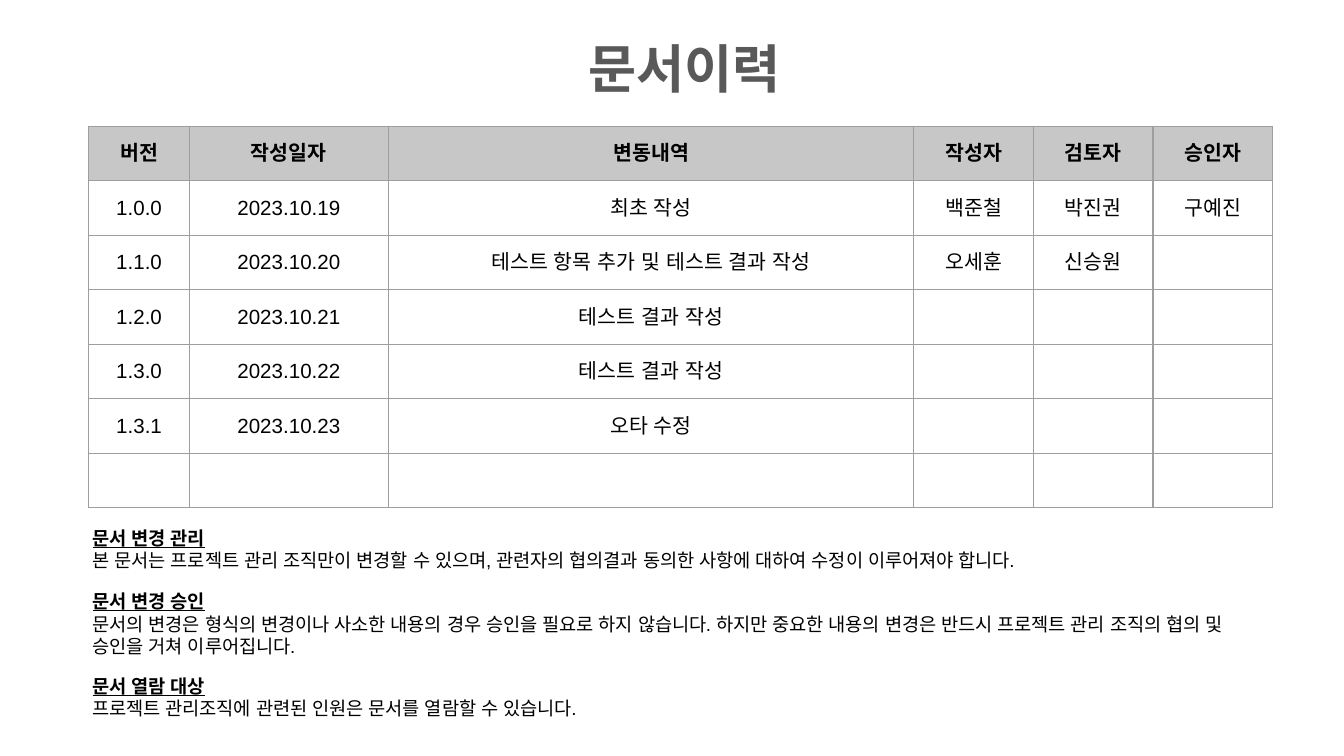
from dataclasses import dataclass

from lxml.etree import SubElement
from pptx import Presentation
from pptx.dml.color import RGBColor
from pptx.enum.lang import MSO_LANGUAGE_ID
from pptx.enum.text import MSO_ANCHOR, MSO_AUTO_SIZE, PP_ALIGN
from pptx.oxml.ns import qn
from pptx.slide import Slide
from pptx.util import Inches, Pt


@dataclass(frozen=True)
class Theme:
    font: str = "Arial"
    title_size: int = 28
    table_size: int = 11
    note_size: int = 10
    title: str = "595959"
    text: str = "000000"
    header: str = "C7C7C7"
    body: str = "FFFFFF"
    border: str = "9E9E9E"
    border_width: float = 0.75


@dataclass(frozen=True)
class Note:
    top: float
    height: float
    heading: str
    body: str


THEME = Theme()
SLIDE_WIDTH = 10
COLUMN_WIDTHS = (0.75, 1.48, 3.91, 0.89, 0.89, 0.89)
TABLE_HEIGHT = 2.84
HISTORY = (
    ("버전", "작성일자", "변동내역", "작성자", "검토자", "승인자"),
    ("1.0.0", "2023.10.19", "최초 작성", "백준철", "박진권", "구예진"),
    ("1.1.0", "2023.10.20", "테스트 항목 추가 및 테스트 결과 작성", "오세훈", "신승원", ""),
    ("1.2.0", "2023.10.21", "테스트 결과 작성", "", "", ""),
    ("1.3.0", "2023.10.22", "테스트 결과 작성", "", "", ""),
    ("1.3.1", "2023.10.23", "오타 수정", "", "", ""),
    ("",) * 6,
)
NOTES = (
    Note(3.87, 0.44, "문서 변경 관리",
         "본 문서는 프로젝트 관리 조직만이 변경할 수 있으며, 관련자의 협의결과 동의한 사항에 대하여 "
         "수정이 이루어져야 합니다."),
    Note(4.97, 0.45, "문서 열람 대상",
         "프로젝트 관리조직에 관련된 인원은 문서를 열람할 수 있습니다."),
    Note(4.34, 0.61, "문서 변경 승인",
         "문서의 변경은 형식의 변경이나 사소한 내용의 경우 승인을 필요로 하지 않습니다. 하지만 중요한 "
         "내용의 변경은 반드시 프로젝트 관리 조직의 협의 및 승인을 거쳐 이루어집니다."),
)


def format_run(r, size: int, color: str, bold: bool = False, underline: bool = False) -> None:
    r.font.size = Pt(size)
    r.font.name = THEME.font
    r.font.color.rgb = RGBColor.from_string(color)
    r.font.bold = bold
    r.font.underline = underline
    r.font.language_id = MSO_LANGUAGE_ID.KOREAN
    SubElement(r.font._element, qn("a:ea"), typeface=THEME.font)


def add_text(s: Slide, left: float, top: float, width: float, height: float, text: str):
    sp = s.shapes.add_textbox(Inches(left), Inches(top), Inches(width), Inches(height))
    tf = sp.text_frame
    tf.word_wrap = True
    tf.text = text
    return tf


def add_title(s: Slide, text: str) -> None:
    tf = add_text(s, 0.43, 0.17, 9.32, 0.87, text)
    tf.margin_top = tf.margin_bottom = Inches(0.1)
    p = tf.paragraphs[0]
    p.alignment = PP_ALIGN.CENTER
    format_run(p.runs[0], THEME.title_size, THEME.title, bold=True)


def add_note(s: Slide, note: Note) -> None:
    tf = add_text(s, 0.59, note.top, 8.88, note.height, f"{note.heading}\v{note.body}")
    tf.auto_size = MSO_AUTO_SIZE.SHAPE_TO_FIT_TEXT
    heading, body = tf.paragraphs[0].runs
    format_run(heading, THEME.note_size, THEME.text, bold=True, underline=True)
    format_run(body, THEME.note_size, THEME.text)


def set_borders(cell) -> None:
    tcPr = cell._tc.get_or_add_tcPr()
    for side in ("lnL", "lnR", "lnT", "lnB"):
        ln = SubElement(tcPr, qn(f"a:{side}"), w=str(Pt(THEME.border_width)))
        fill = SubElement(ln, qn("a:solidFill"))
        SubElement(fill, qn("a:srgbClr"), val=THEME.border)


def fill_cell(cell, text: str, is_header: bool) -> None:
    set_borders(cell)
    cell.fill.solid()
    cell.fill.fore_color.rgb = RGBColor.from_string(THEME.header if is_header else THEME.body)
    cell.vertical_anchor = MSO_ANCHOR.MIDDLE
    cell.text_frame.text = text
    p = cell.text_frame.paragraphs[0]
    p.alignment = PP_ALIGN.CENTER
    for r in p.runs:
        format_run(r, THEME.table_size, THEME.text, bold=is_header)


def add_history(s: Slide) -> None:
    table = s.shapes.add_table(
        len(HISTORY), len(COLUMN_WIDTHS), Inches(0.66), Inches(0.94),
        Inches(sum(COLUMN_WIDTHS)), Inches(TABLE_HEIGHT),
    ).table
    for column, width in zip(table.columns, COLUMN_WIDTHS):
        column.width = Inches(width)
    for i, (row, values) in enumerate(zip(table.rows, HISTORY)):
        for cell, text in zip(row.cells, values):
            fill_cell(cell, text, is_header=i == 0)


def main() -> None:
    prs = Presentation()
    prs.slide_width = Inches(SLIDE_WIDTH)
    prs.slide_height = Inches(SLIDE_WIDTH * 9 / 16)
    s = prs.slides.add_slide(prs.slide_layouts[6])
    add_title(s, "문서이력")
    add_history(s)
    for note in NOTES:
        add_note(s, note)
    prs.save("out.pptx")


if __name__ == "__main__":
    main()
